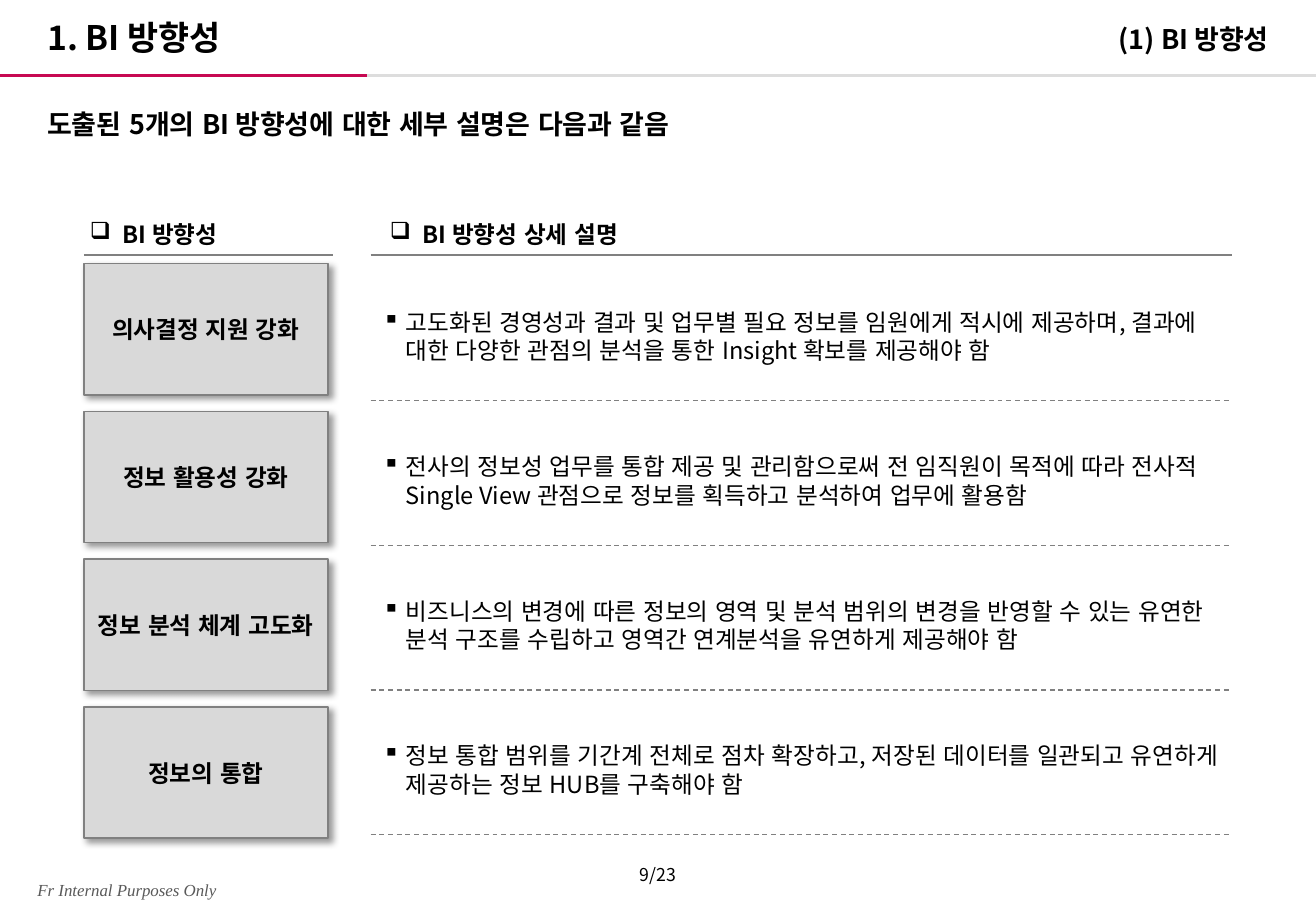
import pptx
import pptx.dml.color
import pptx.enum.dml
import pptx.enum.lang
import pptx.enum.shapes
import pptx.enum.text
import pptx.oxml
import pptx.oxml.ns
import pptx.util
from lxml import etree

Inches = pptx.util.Inches
Pt = pptx.util.Pt
ALIGN = pptx.enum.text.PP_ALIGN
ANCHOR = pptx.enum.text.MSO_ANCHOR

COLORS = {
    "text": "000000",
    "footer": "595959",
    "accent": "C70952",
    "header_rule": "DDDDDD",
    "rule": "808080",
    "box": "D9D9D9",
}
SANS = "Noto Sans CJK KR"
SERIF = "Times New Roman"

# Grid: slide edges, the two content columns and their row steps
SLIDE_W, SLIDE_H = 10.83, 7.5
MARGIN = 0.29
HEADER_RULE_Y, ACCENT_END = 0.62, 3.02
DIRECTION_X, DIRECTION_W = 0.69, 2.01
DETAIL_X, DETAIL_W = 3.05, 7.09
HEADING_Y, HEADING_RULE_Y = 1.81, 2.1
BOX_Y, BOX_H, BOX_STEP = 2.17, 1.08, 1.217
DETAIL_Y, DETAIL_H, DETAIL_STEP = 2.27, 0.99, 1.19
DETAIL_RULE_Y = 3.3

DIRECTIONS = [
    ("의사결정 지원 강화",
     "고도화된 경영성과 결과 및 업무별 필요 정보를 임원에게 적시에 제공하며, 결과에 "
     "대한 다양한 관점의 분석을 통한 Insight 확보를 제공해야 함"),
    ("정보 활용성 강화",
     "전사의 정보성 업무를 통합 제공 및 관리함으로써 전 임직원이 목적에 따라 전사적 "
     "Single View 관점으로 정보를 획득하고 분석하여 업무에 활용함"),
    ("정보 분석 체계 고도화",
     "비즈니스의 변경에 따른 정보의 영역 및 분석 범위의 변경을 반영할 수 있는 유연한 "
     "분석 구조를 수립하고 영역간 연계분석을 유연하게 제공해야 함"),
    ("정보의 통합",
     "정보 통합 범위를 기간계 전체로 점차 확장하고, 저장된 데이터를 일관되고 "
     "유연하게 제공하는 정보 HUB를 구축해야 함"),
]


def rgb(name):
    return pptx.dml.color.RGBColor.from_string(COLORS[name])


def write(shape, text, size=14, bold=False, italic=False, color="text", font=SANS,
          align=ALIGN.LEFT, anchor=ANCHOR.TOP, insets=(0.1, 0.05), bullet=None, indent=0):
    """Fill a shape with one formatted paragraph."""
    frame = shape.text_frame
    frame.word_wrap = True
    frame.vertical_anchor = anchor
    frame.margin_left = frame.margin_right = Inches(insets[0])
    frame.margin_top = frame.margin_bottom = Inches(insets[1])
    paragraph = frame.paragraphs[0]
    paragraph.alignment = align
    if bullet:
        properties = paragraph._p.get_or_add_pPr()
        properties.set("marL", str(Inches(indent)))
        properties.set("indent", str(-Inches(indent)))
        mark = etree.SubElement(properties, pptx.oxml.ns.qn("a:buChar"))
        mark.set("char", bullet)
    run = paragraph.add_run()
    run.text = text
    run.font.size = Pt(size)
    run.font.bold = bold
    run.font.italic = italic
    run.font.name = font
    run.font.color.rgb = rgb(color)
    run.font.language_id = pptx.enum.lang.MSO_LANGUAGE_ID.KOREAN
    east_asian = etree.SubElement(run._r.get_or_add_rPr(), pptx.oxml.ns.qn("a:ea"))
    east_asian.set("typeface", font)


def add_text(slide, text, x, y, w, h, **style):
    box = slide.shapes.add_textbox(Inches(x), Inches(y), Inches(w), Inches(h))
    write(box, text, **style)


def add_rule(slide, x, y, w, color="rule", width=1.5, dashed=False):
    rule = slide.shapes.add_connector(
        pptx.enum.shapes.MSO_CONNECTOR.STRAIGHT,
        Inches(x), Inches(y), Inches(x + w), Inches(y))
    rule.line.color.rgb = rgb(color)
    rule.line.width = Pt(width)
    if dashed:
        rule.line.dash_style = pptx.enum.dml.MSO_LINE.DASH
    etree.SubElement(rule._element.spPr, pptx.oxml.ns.qn("a:effectLst"))


def add_direction_box(slide, text, y):
    box = slide.shapes.add_shape(
        pptx.enum.shapes.MSO_SHAPE.RECTANGLE,
        Inches(DIRECTION_X), Inches(y), Inches(DIRECTION_W), Inches(BOX_H))
    box.fill.solid()
    box.fill.fore_color.rgb = rgb("box")
    box.line.color.rgb = rgb("rule")
    box.line.width = Pt(1)
    box.shadow.inherit = False
    effects = box._element.spPr.find(pptx.oxml.ns.qn("a:effectLst"))
    effects.append(pptx.oxml.parse_xml(
        f'<a:outerShdw {pptx.oxml.ns.nsdecls("a")} blurRad="{Pt(4)}" dist="{Pt(3)}" '
        'dir="2700000" algn="tl" rotWithShape="0"><a:srgbClr val="000000">'
        '<a:alpha val="40000"/></a:srgbClr></a:outerShdw>'))
    write(box, text, bold=True, align=ALIGN.CENTER, anchor=ANCHOR.MIDDLE, insets=(0, 0.05))


def add_heading(slide, text, x, w, rule_x, rule_w):
    add_rule(slide, rule_x, HEADING_RULE_Y, rule_w)
    add_text(slide, text, x, HEADING_Y, w, 0.24, bold=True, insets=(0, 0),
             bullet="❑", indent=0.27)


def main():
    deck = pptx.Presentation()
    deck.slide_width, deck.slide_height = Inches(SLIDE_W), Inches(SLIDE_H)
    slide = deck.slides.add_slide(deck.slide_layouts[6])

    # Header and lead sentence
    add_rule(slide, 0, HEADER_RULE_Y, ACCENT_END, "accent")
    add_rule(slide, ACCENT_END, HEADER_RULE_Y, SLIDE_W - ACCENT_END, "header_rule")
    add_text(slide, "1. BI 방향성", MARGIN, 0.07, 5.92, 0.45, size=20, bold=True,
             align=ALIGN.JUSTIFY, anchor=ANCHOR.BOTTOM)
    add_text(slide, "(1) BI 방향성", 6.87, 0.05, 3.67, 0.45, size=16, bold=True,
             align=ALIGN.RIGHT, anchor=ANCHOR.BOTTOM)
    add_text(slide, "도출된 5개의 BI 방향성에 대한 세부 설명은 다음과 같음",
             MARGIN, 0.84, SLIDE_W - 2 * MARGIN, 0.67, size=16, bold=True,
             align=ALIGN.JUSTIFY)

    # Column headings
    add_heading(slide, "BI 방향성", 0.74, 1.38, DIRECTION_X, 2.05)
    add_heading(slide, "BI 방향성 상세 설명", 3.21, 6.93, DETAIL_X, DETAIL_W)

    # One row per direction
    for row, (direction, detail) in enumerate(DIRECTIONS):
        add_direction_box(slide, direction, BOX_Y + row * BOX_STEP)
        add_text(slide, detail, DETAIL_X, DETAIL_Y + row * DETAIL_STEP, DETAIL_W, DETAIL_H,
                 anchor=ANCHOR.MIDDLE, bullet="▪", indent=0.19)
        add_rule(slide, DETAIL_X, DETAIL_RULE_Y + row * DETAIL_STEP, DETAIL_W,
                 width=0.75, dashed=True)

    # Footer
    add_text(slide, "9/23", 4.63, 7.06, 1.57, 0.29, size=10.5, align=ALIGN.CENTER)
    add_text(slide, "Fr Internal Purposes Only", 0.21, 7.19, 2.68, 0.27, size=10,
             italic=True, color="footer", font=SERIF)

    deck.save("out.pptx")


if __name__ == "__main__":
    main()
